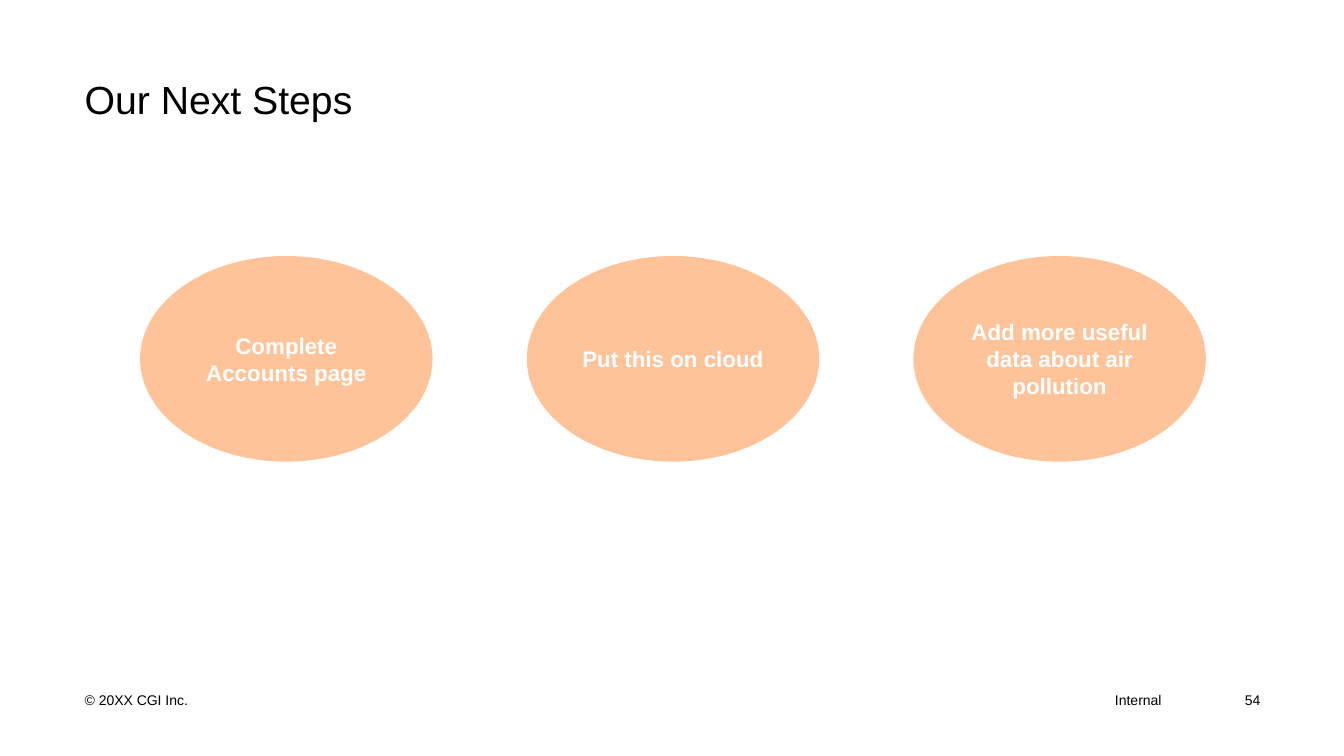
import pptx
import pptx.dml.color
import pptx.enum.shapes
import pptx.enum.text
import pptx.util
from dataclasses import dataclass


@dataclass
class Theme:
    font: str = "Arial"
    ink: str = "000000"
    step_fill: str = "FFC399"
    step_text: str = "FFFFFF"
    title_size: int = 28
    step_size: int = 16
    footer_size: int = 10


theme = Theme()
inches = pptx.util.Inches
align = pptx.enum.text.PP_ALIGN
anchor = pptx.enum.text.MSO_ANCHOR


def write_text(shape, text, size, color, alignment, vertical, bold=False, side_inset=0):
    frame = shape.text_frame
    frame.margin_left = frame.margin_right = inches(side_inset)
    frame.margin_top = frame.margin_bottom = 0
    frame.vertical_anchor = vertical
    frame.word_wrap = True
    frame.auto_size = pptx.enum.text.MSO_AUTO_SIZE.NONE
    paragraph = frame.paragraphs[0]
    paragraph.text = text
    paragraph.alignment = alignment
    paragraph.font.name = theme.font
    paragraph.font.size = pptx.util.Pt(size)
    paragraph.font.bold = bold
    paragraph.font.color.rgb = pptx.dml.color.RGBColor.from_string(color)


presentation = pptx.Presentation()
presentation.slide_width = inches(13.33)
presentation.slide_height = inches(7.5)
slide = presentation.slides.add_slide(presentation.slide_layouts[5])

title = slide.shapes.title
title.left, title.top = inches(0.84), inches(0.75)
title.width, title.height = inches(11.68), inches(0.58)
write_text(title, "Our Next Steps", theme.title_size, theme.ink, align.LEFT, anchor.TOP)

footers = [
    ("© 20XX CGI Inc.", 0.84, 6.85, 2.1, align.LEFT, anchor.MIDDLE),
    ("Internal", 9.73, 6.86, 1.79, align.RIGHT, anchor.TOP),
    ("54", 12.21, 6.85, 0.29, align.RIGHT, anchor.MIDDLE),
]
for text, left, top, width, alignment, vertical in footers:
    footer = slide.shapes.add_textbox(inches(left), inches(top), inches(width), inches(0.19))
    write_text(footer, text, theme.footer_size, theme.ink, alignment, vertical)

steps = ["Complete Accounts page", "Put this on cloud", "Add more useful data about air pollution"]
steps_left, steps_right, step_width = 1.39, 11.96, 2.9
step_pitch = (steps_right - steps_left - step_width) / (len(steps) - 1)
for column, text in enumerate(steps):
    step = slide.shapes.add_shape(
        pptx.enum.shapes.MSO_SHAPE.OVAL,
        inches(steps_left + column * step_pitch),
        inches(2.54),
        inches(step_width),
        inches(2.04),
    )
    step.shadow.inherit = False
    step.fill.solid()
    step.fill.fore_color.rgb = pptx.dml.color.RGBColor.from_string(theme.step_fill)
    step.line.fill.background()
    write_text(step, text, theme.step_size, theme.step_text, align.CENTER, anchor.MIDDLE, True, 0.07)

presentation.save("out.pptx")
